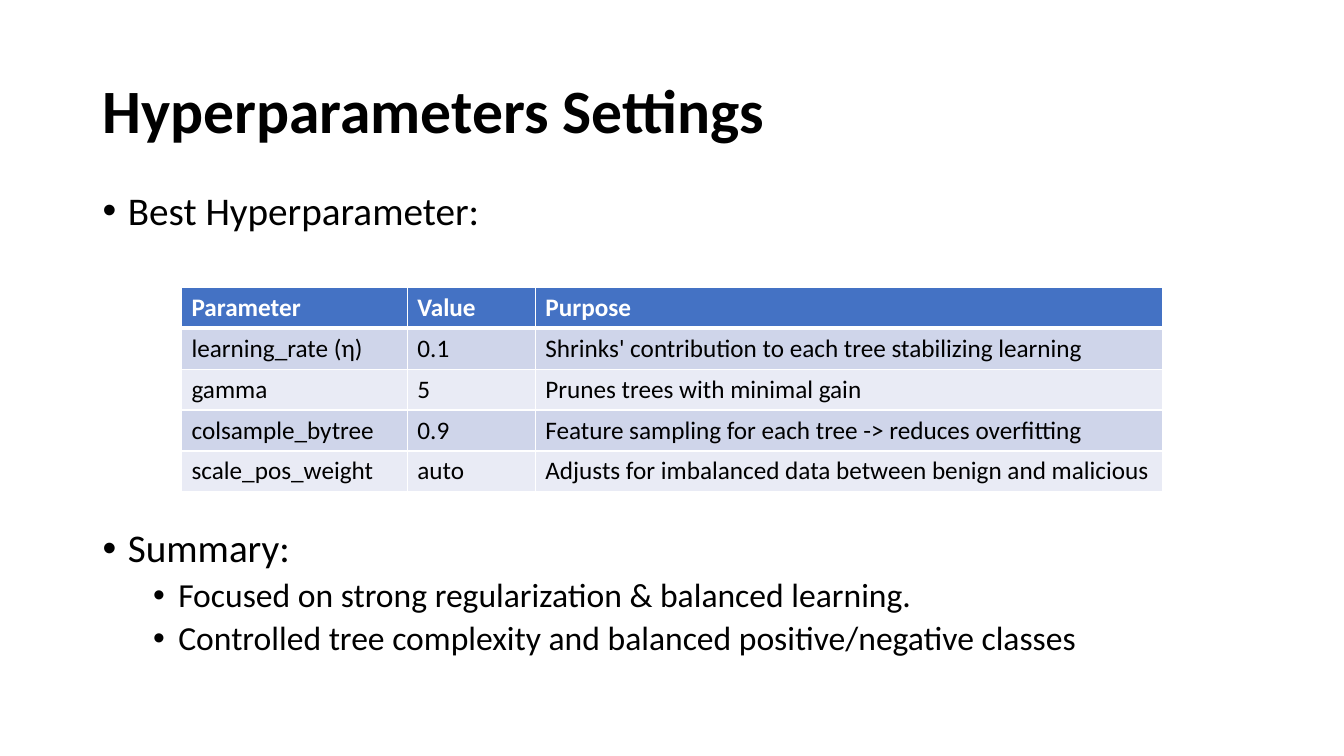
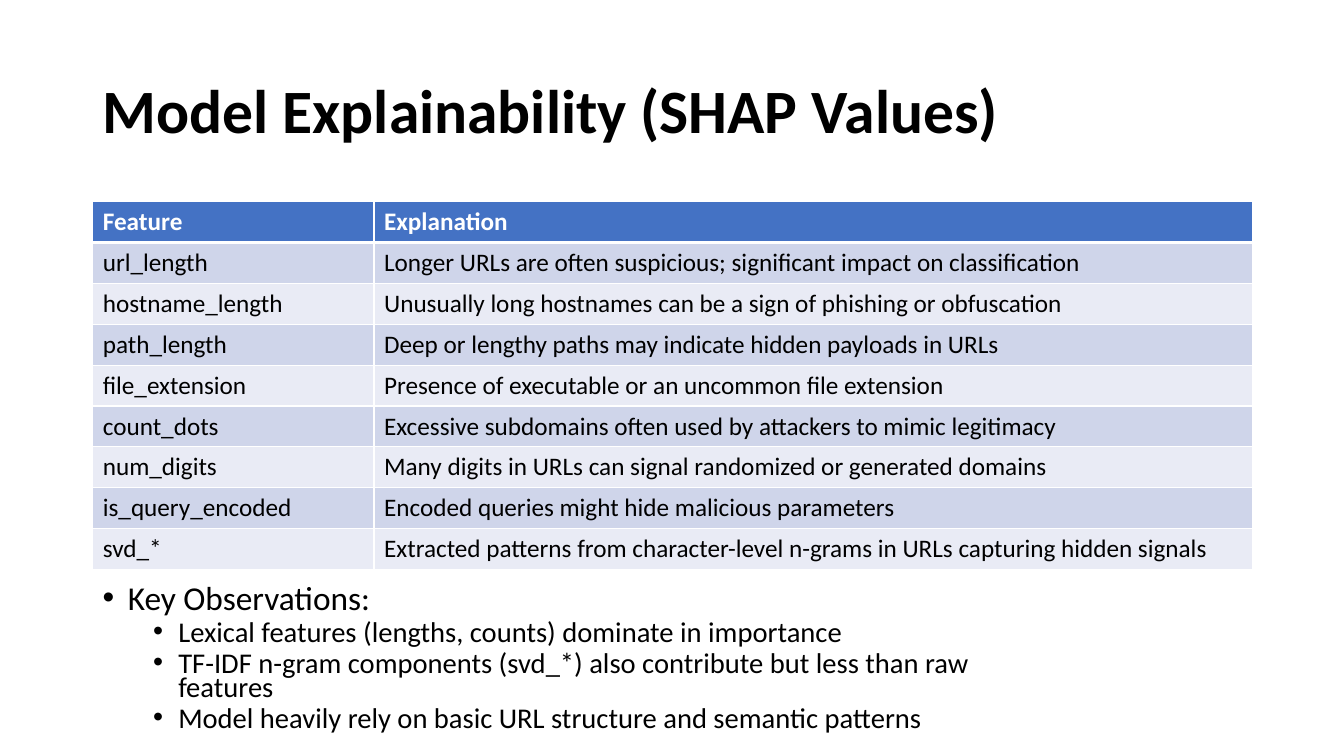
"""Build two slides on hyperparameters and model explainability."""
import lxml.etree
import pptx
import pptx.dml.color
import pptx.enum.text
import pptx.oxml.ns
import pptx.util

Inches, Pt = pptx.util.Inches, pptx.util.Pt
qn = pptx.oxml.ns.qn
RGB = pptx.dml.color.RGBColor.from_string
ANCHOR = pptx.enum.text.MSO_ANCHOR

THEME = {
    "font": "Calibri",
    "text": "000000",
    "light": "FFFFFF",
    "header": "4472C4",
    "bands": ("CFD5EA", "E9EBF5"),
    "title": 44,
    "table": 18,
    "line": 1,
    "header_line": 3,
    "title_box": (0.92, 0.4, 11.5, 1.45),
    "title_spacing": 0.9,
}
LEVELS = (
    {"left": 0.25, "before": 10},
    {"left": 0.75, "before": 5},
)
HANGING = 0.25

SLIDES = [
    {
        "title": "Hyperparameters Settings",
        "table": {
            "at": (1.8, 2.85, 9.73, 2.03),
            "cols": (2.24, 1.27, 6.22),
            "rows": [
                ("Parameter", "Value", "Purpose"),
                ("learning_rate (η)", "0.1", "Shrinks' contribution to each tree stabilizing learning"),
                ("gamma", "5", "Prunes trees with minimal gain"),
                ("colsample_bytree", "0.9", "Feature sampling for each tree -> reduces overfitting"),
                ("scale_pos_weight", "auto", "Adjusts for imbalanced data between benign and malicious"),
            ],
        },
        "bullet_sizes": (28, 24),
        "bullet_spacing": 0.9,
        "bullets": [
            ((0.92, 1.85, 11.5, 0.7), [(0, "Best Hyperparameter:")]),
            ((0.92, 5.2, 11.5, 1.56), [
                (0, "Summary:"),
                (1, "Focused on strong regularization & balanced learning."),
                (1, "Controlled tree complexity and balanced positive/negative classes"),
            ]),
        ],
    },
    {
        "title": "Model Explainability (SHAP Values)",
        "table": {
            "at": (0.92, 2, 11.5, 3.65),
            "cols": (2.79, 8.71),
            "rows": [
                ("Feature", "Explanation"),
                ("url_length", "Longer URLs are often suspicious; significant impact on classification"),
                ("hostname_length", "Unusually long hostnames can be a sign of phishing or obfuscation"),
                ("path_length", "Deep or lengthy paths may indicate hidden payloads in URLs"),
                ("file_extension", "Presence of executable or an uncommon file extension"),
                ("count_dots", "Excessive subdomains often used by attackers to mimic legitimacy"),
                ("num_digits", "Many digits in URLs can signal randomized or generated domains"),
                ("is_query_encoded", "Encoded queries might hide malicious parameters"),
                ("svd_*", "Extracted patterns from character-level n-grams in URLs capturing hidden signals"),
            ],
        },
        "bullet_sizes": (23.8, 20.4),
        "bullet_spacing": 0.7,
        "bullets": [
            ((0.92, 5.79, 9.73, 1.31), [
                (0, "Key Observations:"),
                (1, "Lexical features (lengths, counts) dominate in importance"),
                (1, "TF-IDF n-gram components (svd_*) also contribute but less than raw features"),
                (1, "Model heavily rely on basic URL structure and semantic patterns"),
            ]),
        ],
    },
]


def add_run(p, text, size, color=THEME["text"], bold=False):
    r = p.add_run()
    r.text = text
    for name, value in {"name": THEME["font"], "size": Pt(size), "bold": bold}.items():
        setattr(r.font, name, value)
    r.font.color.rgb = RGB(color)


def add_text_frame(s, box, anchor):
    tf = s.shapes.add_textbox(*map(Inches, box)).text_frame
    for name, value in {"word_wrap": True, "vertical_anchor": anchor}.items():
        setattr(tf, name, value)
    return tf


def add_title(s, text):
    p = add_text_frame(s, THEME["title_box"], ANCHOR.MIDDLE).paragraphs[0]
    p.line_spacing = THEME["title_spacing"]
    add_run(p, text, THEME["title"], bold=True)


def add_bullets(s, box, items, sizes, spacing):
    tf = add_text_frame(s, box, ANCHOR.TOP)
    for i, (level, text) in enumerate(items):
        p = tf.add_paragraph() if i else tf.paragraphs[0]
        style = LEVELS[level]
        formats = {"level": level, "line_spacing": spacing, "space_before": Pt(style["before"])}
        for name, value in formats.items():
            setattr(p, name, value)
        pPr = p._p.get_or_add_pPr()
        pPr.set("marL", str(Inches(style["left"])))
        pPr.set("indent", str(-Inches(HANGING)))
        lxml.etree.SubElement(pPr, qn("a:buFont")).set("typeface", "Arial")
        lxml.etree.SubElement(pPr, qn("a:buChar")).set("char", "•")
        add_run(p, text, sizes[level])


def set_borders(cell, widths):
    tcPr = cell._tc.get_or_add_tcPr()
    for side, width in widths.items():
        ln = lxml.etree.SubElement(tcPr, qn(f"a:ln{side}"), w=str(Pt(width)))
        fill = lxml.etree.SubElement(ln, qn("a:solidFill"))
        lxml.etree.SubElement(fill, qn("a:srgbClr"), val=THEME["light"])


def add_table(s, at, cols, rows):
    table = s.shapes.add_table(len(rows), len(cols), *map(Inches, at)).table
    for column, width in zip(table.columns, cols):
        column.width = Inches(width)
    thin, thick = THEME["line"], THEME["header_line"]
    for i, row in enumerate(rows):
        is_header = i == 0
        fill = THEME["header"] if is_header else THEME["bands"][(i - 1) % 2]
        color = THEME["light"] if is_header else THEME["text"]
        widths = {"L": thin, "R": thin, "T": thick if i == 1 else thin, "B": thick if is_header else thin}
        for j, text in enumerate(row):
            cell = table.cell(i, j)
            set_borders(cell, widths)
            cell.fill.solid()
            cell.fill.fore_color.rgb = RGB(fill)
            add_run(cell.text_frame.paragraphs[0], text, THEME["table"], color, is_header)


def main():
    prs = pptx.Presentation()
    prs.slide_width, prs.slide_height = Inches(13.33), Inches(7.5)
    for content in SLIDES:
        s = prs.slides.add_slide(prs.slide_layouts[6])
        add_title(s, content["title"])
        add_table(s, **content["table"])
        for box, items in content["bullets"]:
            add_bullets(s, box, items, content["bullet_sizes"], content["bullet_spacing"])
    prs.save("out.pptx")


if __name__ == "__main__":
    main()
